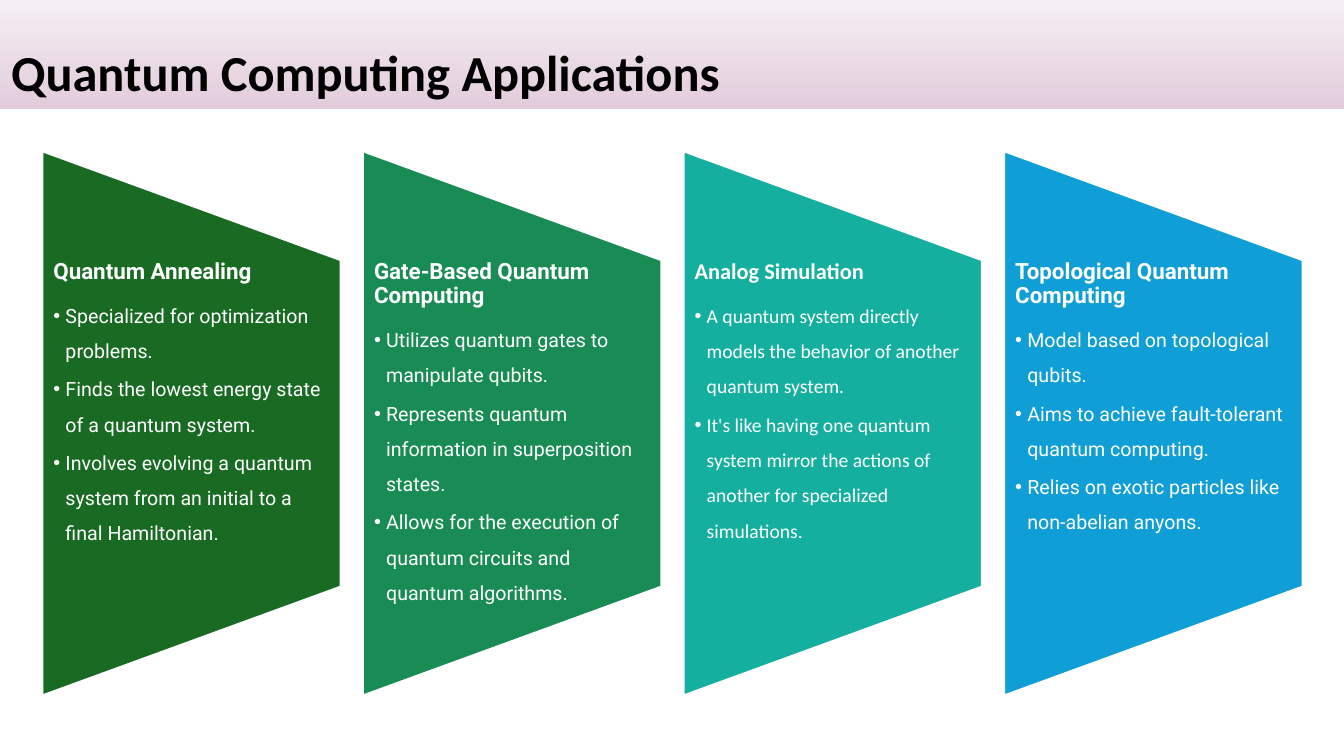
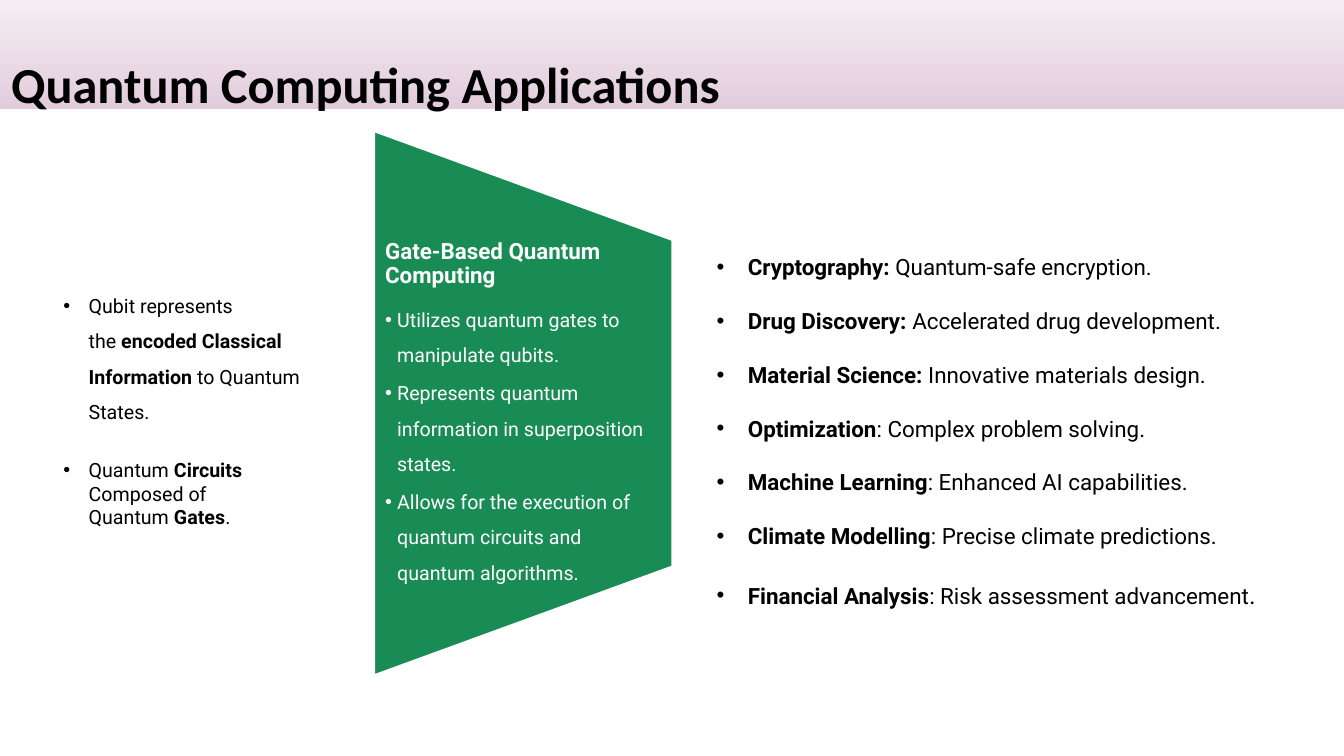
from lxml import etree
from pptx import Presentation
from pptx.dml.color import RGBColor
from pptx.enum.shapes import MSO_SHAPE
from pptx.enum.text import MSO_ANCHOR, PP_ALIGN
from pptx.oxml.ns import qn
from pptx.util import Inches, Pt

RECT = MSO_SHAPE.RECTANGLE
TRAP = MSO_SHAPE.FLOWCHART_MANUAL_OPERATION
TOP = MSO_ANCHOR.TOP
LEFT = PP_ALIGN.LEFT

COLORS = {
    "black": "000000", "white": "FFFFFF",
    "mauve": "E2CCDC", "mist": "F5EFF3",
    "forest": "196B24", "green": "188C54", "teal": "15AF9F", "blue": "0F9ED5",
}
TITLE = "Quantum Computing Applications"
WIDE, HIGH = 2.96, 5.4  # panel as seen, after its quarter turn
STEP = 3.18

GATE = ("green", "Gate-Based Quantum Computing", [
    "Utilizes quantum gates to manipulate qubits.",
    "Represents quantum information in superposition states.",
    "Allows for the execution of quantum circuits and quantum algorithms.",
], "Roboto")
PANELS = [
    ("forest", "Quantum Annealing", [
        "Specialized for optimization problems.",
        "Finds the lowest energy state of a quantum system.",
        "Involves evolving a quantum system from an initial to a final Hamiltonian.",
    ], "Roboto"),
    GATE,
    ("teal", "Analog Simulation", [
        "A quantum system directly models the behavior of another quantum system.",
        "It's like having one quantum system mirror the actions of another "
        "for specialized simulations.",
    ], "Calibri"),
    ("blue", "Topological Quantum Computing", [
        "Model based on topological qubits.",
        "Aims to achieve fault-tolerant quantum computing.",
        "Relies on exotic particles like non-abelian anyons.",
    ], "Roboto"),
]

# Asterisks enclose bold words
USES = [
    "*Cryptography: *Quantum-safe encryption.",
    "*Drug Discovery: *Accelerated drug development.",
    "*Material Science: *Innovative materials design.",
    "*Optimization*: Complex problem solving.",
    "*Machine Learning*: Enhanced AI capabilities.",
    "*Climate Modelling*: Precise climate predictions.",
    "*Financial Analysis*: Risk assessment advancement",
]
QUBIT = "Qubit represents\nthe *encoded Classical\nInformation* to Quantum\nStates."
GATES = "Quantum *Circuits*\nComposed of\nQuantum *Gates*."


def rgb(name):
    return RGBColor.from_string(COLORS[name])


# Text
def write(para, words, size=14, face="Roboto", color="black", bold=False):
    """Add words to a paragraph; asterisks switch bold, newlines break lines."""
    for i, part in enumerate(words.split("*")):
        for j, line in enumerate(part.split("\n")):
            if j:
                para.add_line_break()
            if line:
                run = para.add_run()
                run.text = line
                font = run.font
                font.size, font.name = Pt(size), face
                font.bold = bold or i % 2 == 1
                font.color.rgb = rgb(color)


def add_para(frame, words, space=1.0, before=0, after=0, hang=0, **form):
    para = frame.paragraphs[0]
    if para.runs:
        para = frame.add_paragraph()
    para.alignment = LEFT
    para.line_spacing = space
    para.space_before, para.space_after = Pt(before), Pt(after)
    if hang:
        props = para._p.get_or_add_pPr()
        props.set("marL", str(Inches(hang)))
        props.set("indent", str(-Inches(hang)))
        etree.SubElement(props, qn("a:buFont")).set("typeface", "Arial")
        etree.SubElement(props, qn("a:buChar")).set("char", "•")
    write(para, words, **form)
    return para


def set_frame(frame, left=0, top=0, right=0):
    frame.word_wrap = True
    frame.vertical_anchor = TOP
    frame.margin_left, frame.margin_top = Inches(left), Inches(top)
    frame.margin_right, frame.margin_bottom = Inches(right), 0
    return frame


def add_box(slide, x, y, w, h, **inset):
    box = slide.shapes.add_textbox(Inches(x), Inches(y), Inches(w), Inches(h))
    return set_frame(box.text_frame, **inset)


# Shapes
def add_shape(slide, kind, x, y, w, h):
    shape = slide.shapes.add_shape(kind, Inches(x), Inches(y), Inches(w), Inches(h))
    shape.shadow.inherit = False
    return shape


def add_band(slide, drop):
    """Title band; drop is the space above the title."""
    band = add_shape(slide, RECT, 0, 0, 13.33, 1.08)
    band.line.fill.background()
    band.fill.gradient()
    band.fill.gradient_angle = 90
    for stop, name in zip(band.fill.gradient_stops, ("mauve", "mist")):
        stop.color.rgb = rgb(name)
    frame = set_frame(band.text_frame, left=0.11, top=drop)
    add_para(frame, TITLE, space=0.8, size=36, face="Calibri", bold=True)


def add_panel(slide, x, y, color, head, items, face):
    turn = (HIGH - WIDE) / 2
    shape = add_shape(slide, TRAP, x - turn, y + turn, HIGH, WIDE)
    shape.rotation = 270
    shape.fill.solid()
    shape.fill.fore_color.rgb = rgb(color)
    shape.line.color.rgb = rgb("white")
    shape.line.width = Pt(1.5)

    frame = add_box(slide, x, y + HIGH / 5, WIDE, HIGH * 0.6, left=0.11, right=0.11)
    form = {"face": face, "color": "white"}
    add_para(frame, head, space=0.9, after=5.6, size=16, bold=True, **form)
    for item in items:
        add_para(frame, item, space=1.5, after=2.1, hang=0.12, **form)


# Slides
def add_models(slide):
    add_band(slide, 0.52)
    for i, panel in enumerate(PANELS):
        add_panel(slide, 0.42 + i * STEP, 1.5, *panel)


def add_uses(slide):
    add_band(slide, 0.64)
    notes = add_box(slide, 0.63, 2.8, 2.9, 3)
    add_para(notes, QUBIT, space=1.5, hang=0.25)
    add_para(notes, GATES, before=25, hang=0.25)

    uses = add_box(slide, 7.01, 2.2, 6.2, 3.84, left=0.1, top=0.05, right=0.1)
    for use in USES:
        para = add_para(uses, use, space=2.0, hang=0.31, size=16)
    write(para, ".", size=18)

    add_panel(slide, 3.71, 1.3, *GATE)


def main():
    deck = Presentation()
    deck.slide_width, deck.slide_height = Inches(13.33), Inches(7.5)
    for build in (add_models, add_uses):
        build(deck.slides.add_slide(deck.slide_layouts[6]))
    deck.save("out.pptx")


if __name__ == "__main__":
    main()
